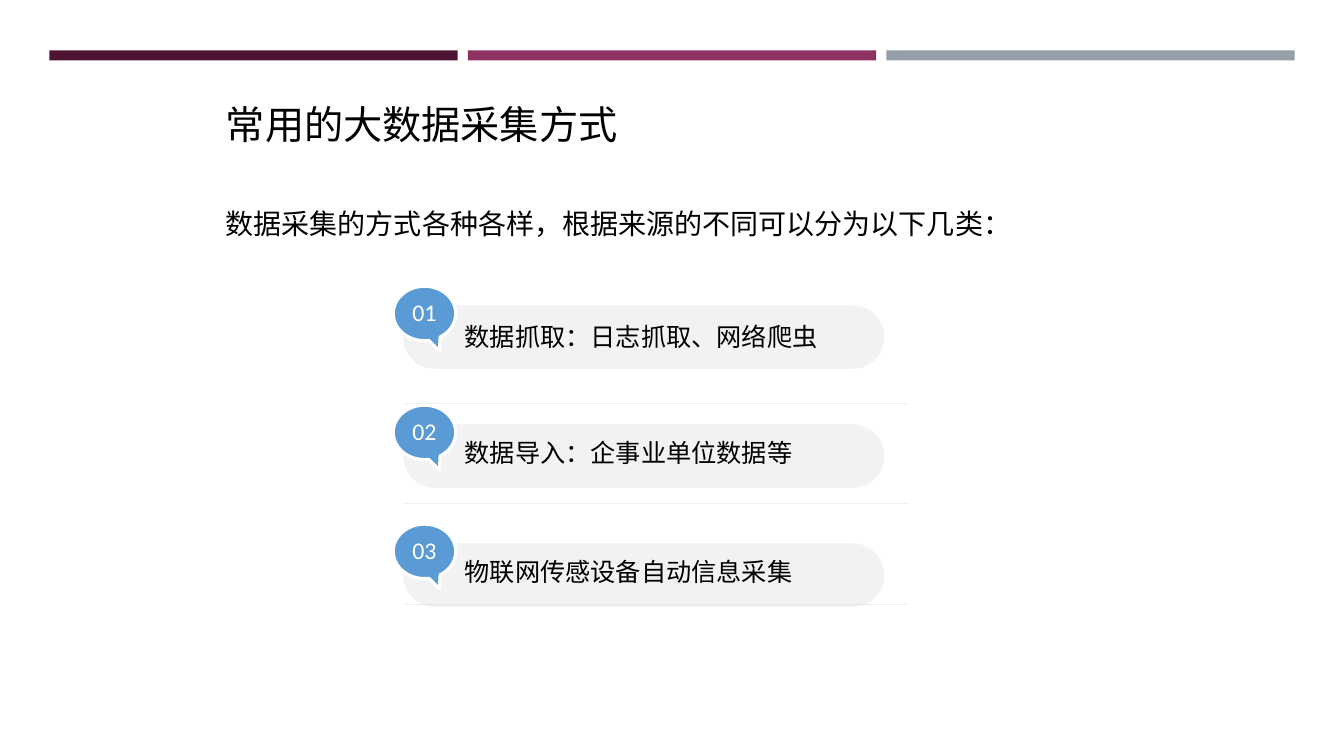
"""Build a slide on common ways of collecting big data."""
from dataclasses import dataclass
from math import asin, cos, pi, sin
from typing import Any

from pptx import Presentation
from pptx.dml.color import RGBColor as Rgb
from pptx.enum.shapes import MSO_SHAPE as Kind
from pptx.enum.text import MSO_ANCHOR as Anchor, MSO_AUTO_SIZE as Fit, PP_ALIGN as Align
from pptx.util import Inches, Pt


@dataclass(frozen=True)
class Theme:
    """Hold the colours, type sizes and font."""
    font: str = "Calibri"
    ink: str = "000000"
    white: str = "FFFFFF"
    blue: str = "5B9BD5"
    pale: str = "F2F2F2"
    bars: tuple = ("4D1434", "903163", "969FA7")
    title: float = 28
    lead: float = 20
    item: float = 18
    tag: float = 17.1


@dataclass(frozen=True)
class Row:
    """Describe one numbered item."""
    text: str
    wide: float
    space: float


@dataclass(frozen=True)
class Box:
    """Hold a place in inches."""
    x: float
    y: float
    w: float
    h: float

    def emu(self) -> list:
        """Give the four lengths."""
        return [Inches(n) for n in (self.x, self.y, self.w, self.h)]


LOOK = Theme()
ROWS = (
    Row("数据抓取：日志抓取、网络爬虫", 3.8, 1.1),
    Row("数据导入：企事业单位数据等", 4.12, 1.0),
    Row("物联网传感设备自动信息采集", 4.12, 1.0),
)
TOP, STEP = 3.03, 1.18
LEFT, WIDE, HIGH = 4.0, 4.77, 0.63
CUT = 0.54


def apply(item: Any, form: dict) -> None:
    """Set each attribute from the format values."""
    for name, value in form.items():
        setattr(item, name, value)


def paint(shape: Any, fill: str) -> Any:
    """Give a shape a flat fill with no line or shadow."""
    shape.shadow.inherit = False
    shape.fill.solid()
    shape.fill.fore_color.rgb = Rgb.from_string(fill)
    shape.line.fill.background()
    return shape


def write(shape: Any, text: str, size: float, tint: str, frame: dict, para: dict) -> None:
    """Put one formatted paragraph in a shape."""
    body = shape.text_frame
    body.text = text
    apply(body, {"word_wrap": True} | frame)
    line = body.paragraphs[0]
    apply(line, para)
    apply(line.font, {"size": Pt(size), "name": LOOK.font})
    line.font.color.rgb = Rgb.from_string(tint)


def strip(shapes: Any, top: float) -> None:
    """Draw the blue foot that follows the round ends of a pill."""
    rad = HIGH / 2
    mid = top + rad
    low = asin((CUT - rad) / rad)
    turns = [low + (pi / 2 - low) * n / 12 for n in range(13)]
    right = [(LEFT + WIDE - rad + rad * cos(a), mid + rad * sin(a)) for a in turns]
    left = [(LEFT + rad - rad * cos(a), mid + rad * sin(a)) for a in reversed(turns)]
    pen = shapes.build_freeform(*left[-1], scale=Inches(1))
    pen.add_line_segments(right + left[:-1], close=True)
    paint(pen.convert_to_shape(), LOOK.blue)


def draw(shapes: Any, num: int, row: Row) -> None:
    """Draw one numbered item as a group."""
    top = TOP + STEP * num
    group = shapes.add_group_shape().shapes
    pill = group.add_shape(Kind.ROUNDED_RECTANGLE, *Box(LEFT, top, WIDE, HIGH).emu())
    pill.adjustments[0] = 0.5
    paint(pill, LOOK.pale)

    label = group.add_textbox(*Box(4.51, top + 0.08, row.wide, 0.41).emu())
    write(label, row.text, LOOK.item, LOOK.ink, {}, {"line_spacing": row.space})

    tag = group.add_shape(Kind.OVAL_CALLOUT, *Box(3.9, top - 0.19, 0.62, 0.54).emu())
    tag.adjustments[0], tag.adjustments[1] = 0.238, 0.688
    paint(tag, LOOK.blue)
    tag.line.color.rgb = Rgb.from_string(LOOK.white)
    tag.line.width = Pt(2.25)
    frame = {"vertical_anchor": Anchor.MIDDLE, "margin_left": 0, "margin_right": 0}
    para = {"alignment": Align.CENTER, "line_spacing": 0.9}
    write(tag, f"{num + 1:02}", LOOK.tag, LOOK.white, frame, para)
    strip(group, top)


def main() -> None:
    """Build and save the slide."""
    deck = Presentation()
    apply(deck, {"slide_width": Inches(13.33), "slide_height": Inches(7.5)})
    shapes = deck.slides.add_slide(deck.slide_layouts[5]).shapes

    for num, fill in enumerate(LOOK.bars):
        box = Box(0.49 + 4.15 * num, 0.5, 4.05, 0.1)
        paint(shapes.add_shape(Kind.RECTANGLE, *box.emu()), fill)

    title = shapes.title
    apply(title, dict(zip(("left", "top", "width", "height"), Box(2.14, 0.89, 8.25, 0.62).emu())))
    frame = {"vertical_anchor": Anchor.BOTTOM, "auto_size": Fit.NONE}
    write(title, "常用的大数据采集方式", LOOK.title, LOOK.ink, frame, {"alignment": Align.LEFT})

    lead = shapes.add_textbox(*Box(2.14, 1.83, 10.33, 0.61).emu())
    text = "数据采集的方式各种各样，根据来源的不同可以分为以下几类："
    frame = {"auto_size": Fit.SHAPE_TO_FIT_TEXT}
    write(lead, text, LOOK.lead, LOOK.ink, frame, {"line_spacing": 1.5})

    for num, row in enumerate(ROWS):
        draw(shapes, num, row)
    deck.save("out.pptx")


if __name__ == "__main__":
    main()
